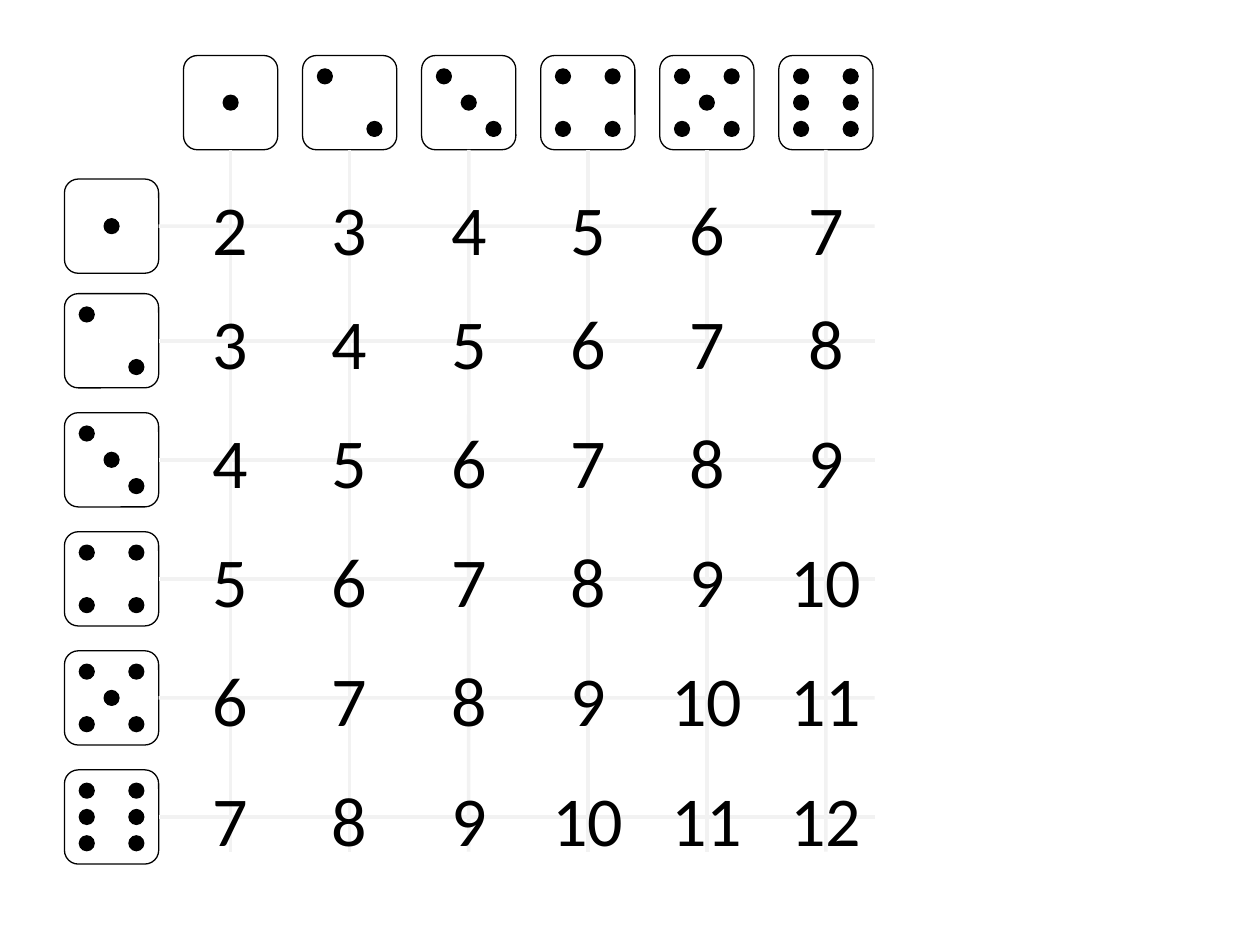
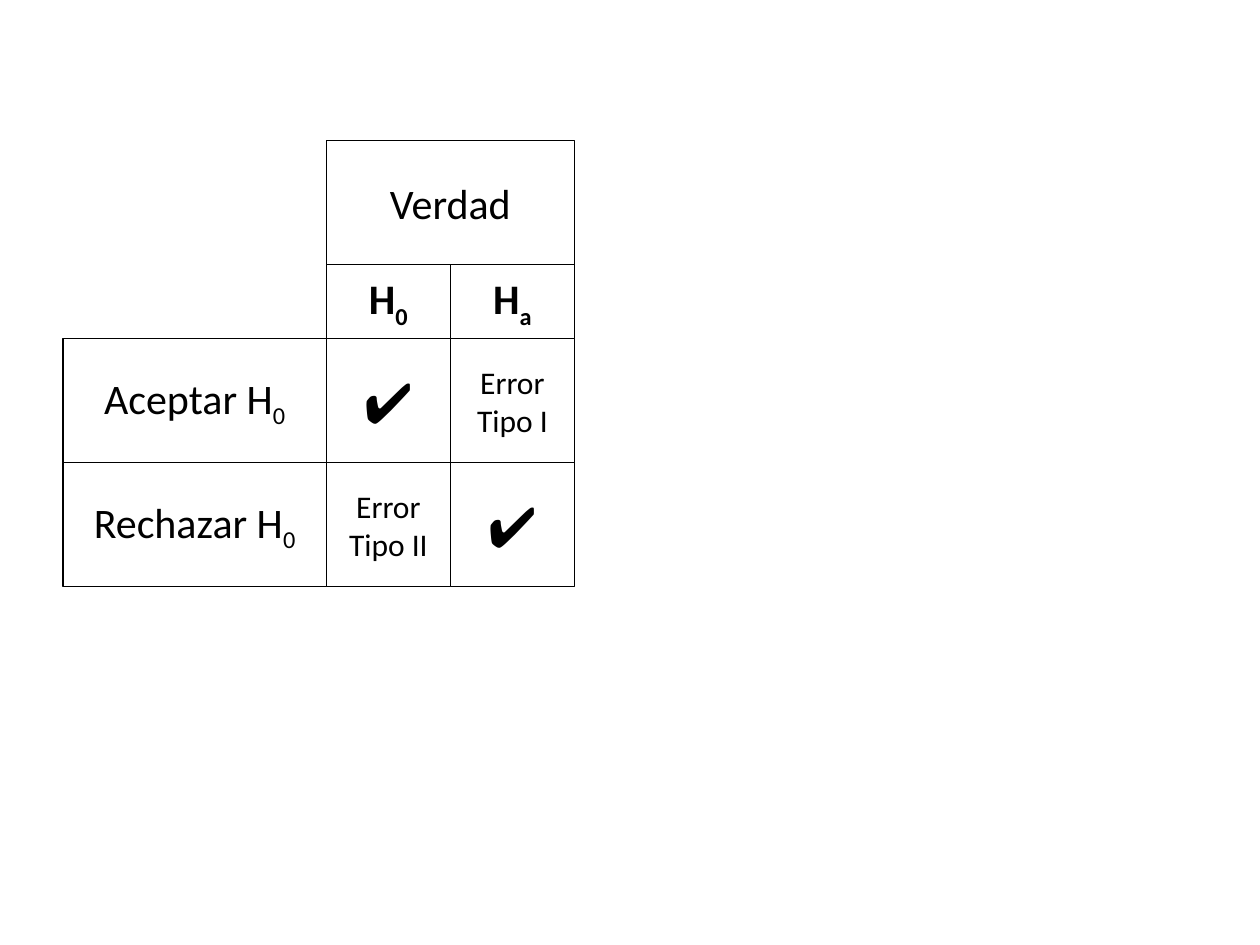
from lxml.etree import SubElement
from pptx import Presentation
from pptx.dml.color import RGBColor
from pptx.enum.shapes import MSO_CONNECTOR, MSO_SHAPE
from pptx.enum.text import MSO_ANCHOR, MSO_AUTO_SIZE, PP_ALIGN
from pptx.oxml.ns import qn
from pptx.util import Cm, Pt

BLACK, WHITE, PALE_GREY = map(RGBColor.from_string, ("000000", "FFFFFF", "F2F2F2"))
FONT = "Calibri"
BOTTOM, RIGHT = 2, 3  # connection sites of a rectangle


def add_outlined(shapes, kind, left, top, width, height, fill=WHITE):
    """Add a preset shape with a thin black outline; lengths in cm."""
    shape = shapes.add_shape(kind, Cm(left), Cm(top), Cm(width), Cm(height))
    shape.shadow.inherit = False
    shape.fill.solid()
    shape.fill.fore_color.rgb = fill
    shape.line.color.rgb = BLACK
    shape.line.width = Pt(0.75)
    return shape


def write_centred(frame, text, size, subscript="", bold=False):
    frame.text = text
    para = frame.paragraphs[0]
    para.alignment = PP_ALIGN.CENTER
    if subscript:
        span = para.add_run()
        span.text = subscript
        span._r.get_or_add_rPr().set("baseline", "-25000")
    for span in para.runs:
        span.font.name = FONT
        span.font.size = Pt(size)
        span.font.bold = bold
        span.font.color.rgb = BLACK


deck = Presentation()
deck.slide_width, deck.slide_height = Cm(25.4), Cm(19.05)
blank = deck.slide_layouts[6]

# Slide 1: sums of two dice
page = deck.slides.add_slide(blank)

DIE, PIP, PITCH = 1.9, 0.3, 2.4
PIP_DX, PIP_DY = 0.5, 0.53
GRID_RIGHT, GRID_BOTTOM = 17.63, 17.17
diagonal = [(-1, -1), (1, 1)]
corners = diagonal + [(-1, 1), (1, -1)]
centre = [(0, 0)]
faces = [centre, diagonal, diagonal + centre, corners, corners + centre,
         corners + [(-1, 0), (1, 0)]]

column_lefts = [3.7 + PITCH * i for i in range(6)]
row_tops = [3.61] + [5.92 + PITCH * i for i in range(5)]
top_dice = [(left, 1.12, BOTTOM) for left in column_lefts]
side_dice = [(1.3, top, RIGHT) for top in row_tops]

for (left, top, side), pips in zip(top_dice + side_dice, faces * 2):
    die = page.shapes.add_group_shape()
    body = add_outlined(die.shapes, MSO_SHAPE.ROUNDED_RECTANGLE, left, top, DIE, DIE)
    body.adjustments[0] = 0.147
    middle_x, middle_y = left + DIE / 2, top + DIE / 2
    for dx, dy in pips:
        add_outlined(die.shapes, MSO_SHAPE.OVAL,
                     middle_x + dx * PIP_DX - PIP / 2,
                     middle_y + dy * PIP_DY - PIP / 2, PIP, PIP, BLACK)

    end_x, end_y = (middle_x, GRID_BOTTOM) if side == BOTTOM else (GRID_RIGHT, middle_y)
    guide = page.shapes.add_connector(MSO_CONNECTOR.STRAIGHT, Cm(middle_x), Cm(middle_y),
                                      Cm(end_x), Cm(end_y))
    guide.begin_connect(body, side)
    guide.line.color.rgb = PALE_GREY
    guide.line.width = Pt(2)
    SubElement(guide._element.spPr, qn("a:effectLst"))

for row, top in enumerate(row_tops, 1):
    for column, left in enumerate(column_lefts, 1):
        total = row + column
        width = 1.24 if total < 10 else 1.96
        box = page.shapes.add_textbox(Cm(left + (DIE - width) / 2), Cm(top),
                                      Cm(width), Cm(1.96))
        box.text_frame.word_wrap = False
        box.text_frame.auto_size = MSO_AUTO_SIZE.SHAPE_TO_FIT_TEXT
        write_centred(box.text_frame, str(total), 40)

# Slide 2: decision against truth
page = deck.slides.add_slide(blank)

CELL, HEAD_HEIGHT, LABEL_WIDTH = 2.5, 1.5, 5.31
label_left, truth_top = 1.27, 2.83
null_left = label_left + LABEL_WIDTH
alt_left = null_left + CELL
head_top = truth_top + CELL
accept_top = head_top + HEAD_HEIGHT
reject_top = accept_top + CELL

# left, top, width, height, text, subscript, size, bold
cells = [
    (label_left, accept_top, LABEL_WIDTH, CELL, "Aceptar H", "0", 24, False),
    (label_left, reject_top, LABEL_WIDTH, CELL, "Rechazar H", "0", 24, False),
    (alt_left, accept_top, CELL, CELL, "Error Tipo I", "", 18, False),
    (null_left, accept_top, CELL, CELL, "✔", "", 32, False),
    (null_left, reject_top, CELL, CELL, "Error Tipo II", "", 18, False),
    (alt_left, reject_top, CELL, CELL, "✔", "", 32, False),
    (null_left, head_top, CELL, HEAD_HEIGHT, "H", "0", 24, True),
    (alt_left, head_top, CELL, HEAD_HEIGHT, "H", "a", 24, True),
    (null_left, truth_top, 2 * CELL, CELL, "Verdad", "", 24, False),
]
for left, top, width, height, text, subscript, size, bold in cells:
    cell = add_outlined(page.shapes, MSO_SHAPE.RECTANGLE, left, top, width, height)
    cell.text_frame.word_wrap = True
    cell.text_frame.vertical_anchor = MSO_ANCHOR.MIDDLE
    write_centred(cell.text_frame, text, size, subscript, bold)

deck.save("out.pptx")
